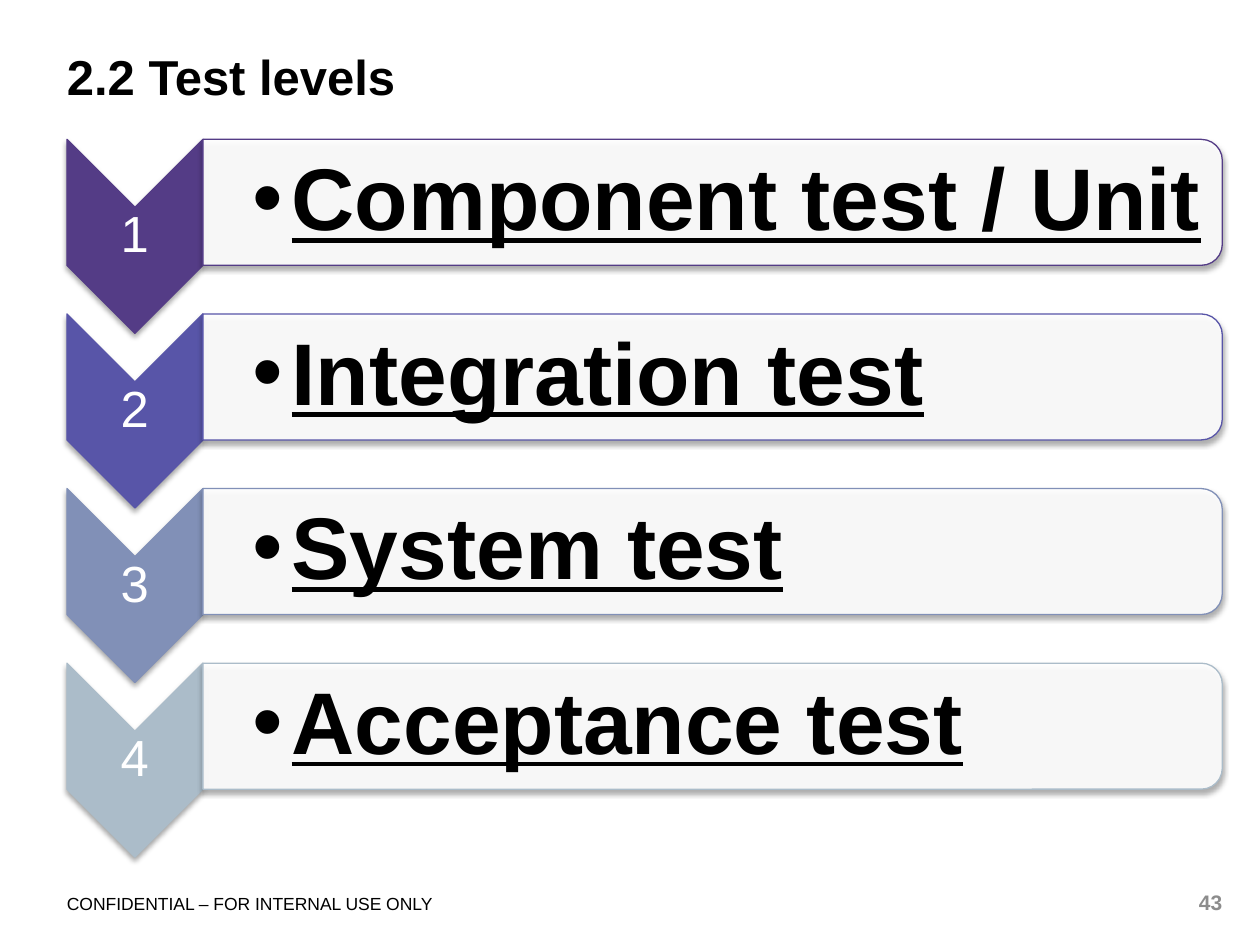
import lxml.etree
import pptx
import pptx.util
import pptx.dml.color
import pptx.enum.shapes
import pptx.enum.text
import pptx.oxml.ns

Cm, Pt = pptx.util.Cm, pptx.util.Pt
RGBColor = pptx.dml.color.RGBColor
SHAPE = pptx.enum.shapes.MSO_SHAPE
ALIGN = pptx.enum.text.PP_ALIGN
ANCHOR = pptx.enum.text.MSO_ANCHOR
qn = pptx.oxml.ns.qn

BLACK = RGBColor(0x00, 0x00, 0x00)
WHITE = RGBColor(0xFF, 0xFF, 0xFF)
GREY = RGBColor(0x8C, 0x8C, 0x8C)
PURPLE = RGBColor(0x54, 0x3C, 0x86)
INDIGO = RGBColor(0x58, 0x55, 0xA8)
BLUE = RGBColor(0x81, 0x90, 0xB7)
MIST = RGBColor(0xAB, 0xBC, 0xC9)

LEVELS = [
    ("Component test / Unit", PURPLE),
    ("Integration test", INDIGO),
    ("System test", BLUE),
    ("Acceptance test", MIST),
]

TITLE = {"size": Pt(28), "bold": True}
NUMBER = {"size": Pt(29)}
LEVEL = {"size": Pt(50), "bold": True, "underline": True}
FOOTER = {"size": Pt(10)}
PAGE = {"size": Pt(12), "bold": True}


def add_child(parent, tag, **attrs):
    el = lxml.etree.SubElement(parent, qn(tag))
    for name, value in attrs.items():
        el.set(name, str(value))
    return el


def add_text(slide, box, text, font, color=BLACK, align=ALIGN.LEFT,
             anchor=ANCHOR.TOP, margin=0, left_margin=None, spacing=None,
             bullet=False):
    sp = slide.shapes.add_textbox(*(Cm(v) for v in box))
    tf = sp.text_frame
    frame = {
        "word_wrap": True,
        "vertical_anchor": anchor,
        "margin_left": Cm(margin if left_margin is None else left_margin),
        "margin_right": Cm(margin),
        "margin_top": Cm(margin),
        "margin_bottom": Cm(margin),
    }
    for name, value in frame.items():
        setattr(tf, name, value)
    p = tf.paragraphs[0]
    p.alignment = align
    if spacing:
        p.line_spacing = spacing
    if bullet:
        p.level = 1
        pPr = p._p.get_or_add_pPr()
        pPr.set("marL", str(Cm(0.79)))
        pPr.set("indent", str(-Cm(0.79)))
        add_child(pPr, "a:buFont", typeface="Arial")
        add_child(pPr, "a:buChar", char="•")
    r = p.add_run()
    r.text = text
    for name, value in {"name": "Arial", **font}.items():
        setattr(r.font, name, value)
    r.font.color.rgb = color


def add_rotated(slide, kind, box, rotation, fill, line, alpha=100):
    """Place a shape turned a quarter so that it covers the given box."""
    x, y, w, h = box
    sp = slide.shapes.add_shape(kind, Cm(x + (w - h) / 2), Cm(y + (h - w) / 2),
                                Cm(h), Cm(w))
    sp.rotation = rotation
    sp.fill.solid()
    sp.fill.fore_color.rgb = fill
    sp.line.color.rgb = line
    sp.line.width = Pt(0.75)
    sp.shadow.inherit = False
    spPr = sp._element.spPr
    if alpha < 100:
        clr = spPr.find(qn("a:solidFill")).find(qn("a:srgbClr"))
        add_child(clr, "a:alpha", val=alpha * 1000)
    # Soft shadow straight below
    shadow = add_child(spPr.find(qn("a:effectLst")), "a:outerShdw",
                       blurRad=Pt(3.1), dist=Pt(1.8), dir=90 * 60000,
                       rotWithShape=0)
    clr = add_child(shadow, "a:srgbClr", val="000000")
    add_child(clr, "a:alpha", val=35000)


def add_level(slide, box, number, name, color):
    """One row: numbered chevron on the left, name bar on the right."""
    x, y, w, h = box
    chevron_w, chevron_h = 2.74, 3.91
    tip = chevron_w / 2
    bar_x, bar_w = x + chevron_w, w - chevron_w

    # Chevron and its number
    add_rotated(slide, SHAPE.CHEVRON, (x, y, chevron_w, chevron_h), 90,
                color, color)
    add_text(slide, (x, y + tip, chevron_w, chevron_h - 2 * tip), str(number),
             NUMBER, WHITE, ALIGN.CENTER, ANCHOR.MIDDLE, 0.05, spacing=0.9)

    # Bar and its name
    add_rotated(slide, SHAPE.ROUND_2_SAME_RECTANGLE, (bar_x, y, bar_w, h), 90,
                WHITE, color, alpha=90)
    add_text(slide, (bar_x, y + 0.12, bar_w - 0.12, h - 0.24), name, LEVEL,
             anchor=ANCHOR.MIDDLE, margin=0.08, left_margin=1, spacing=0.9,
             bullet=True)


def add_levels(slide, box):
    x, y, w, pitch = box
    for i, (name, color) in enumerate(LEVELS):
        add_level(slide, (x, y + i * pitch, w, 2.54), i + 1, name, color)


def add_footer(slide, box):
    x, y, w, h = box
    add_text(slide, (x, y + 0.08, 11.23, h), "CONFIDENTIAL – FOR INTERNAL USE ONLY",
             FOOTER)
    add_text(slide, (x + w - 1, y, 1, h), "43", PAGE, GREY, ALIGN.RIGHT)


def main():
    prs = pptx.Presentation()
    prs.slide_width, prs.slide_height = Cm(25.4), Cm(19.05)
    slide = prs.slides.add_slide(prs.slide_layouts[6])
    add_text(slide, (1.35, 0.94, 23.29, 1.5), "2.2 Test levels", TITLE)
    add_levels(slide, (1.35, 2.81, 23.29, 3.52))
    add_footer(slide, (1.35, 17.93, 23.29, 0.5))
    prs.save("out.pptx")


if __name__ == "__main__":
    main()
